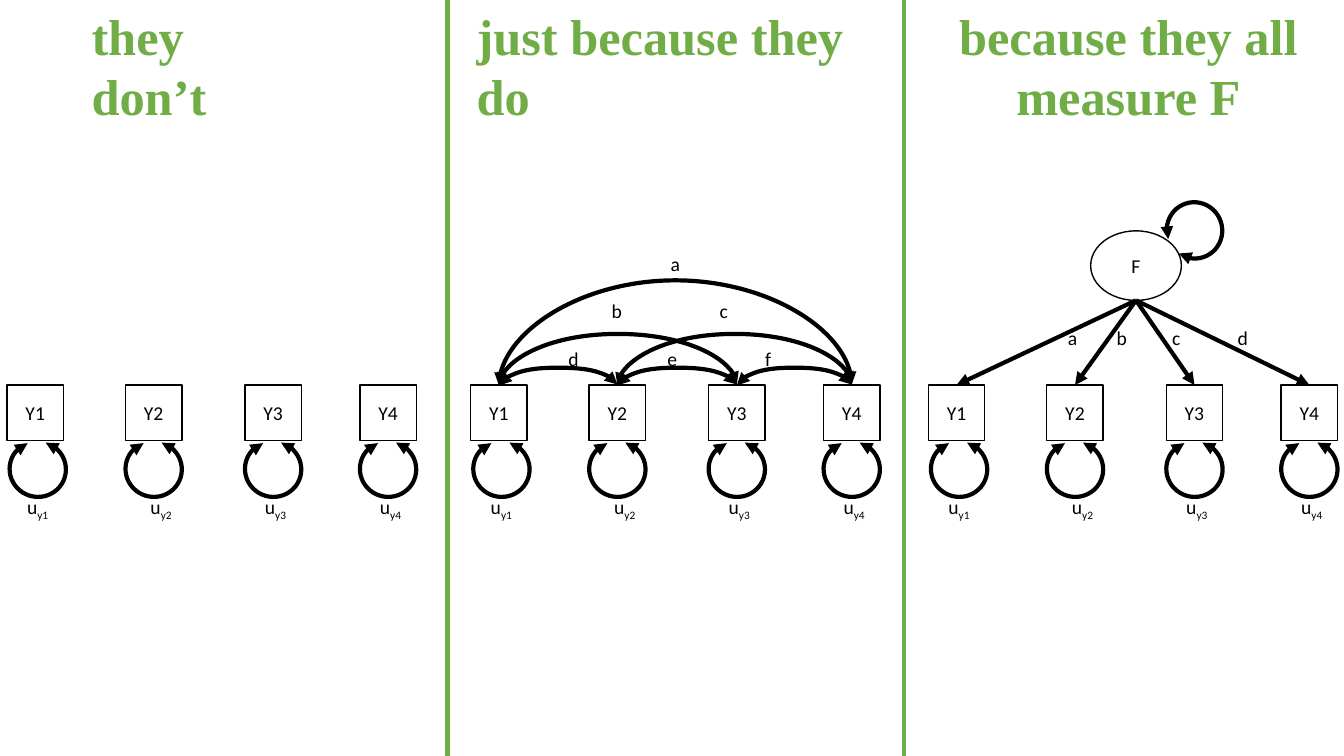
from dataclasses import dataclass
from itertools import combinations
from lxml.etree import SubElement as Sub
from pptx import Presentation
from pptx.dml.color import RGBColor as Rgb
from pptx.enum.shapes import MSO_CONNECTOR as Link, MSO_SHAPE as Kind
from pptx.enum.text import MSO_ANCHOR as Anchor, PP_ALIGN as Align
from pptx.oxml.ns import qn
from pptx.util import Inches, Pt


@dataclass(frozen=True)
class Theme:
    ink: Rgb = Rgb(0, 0, 0)
    paper: Rgb = Rgb(255, 255, 255)
    green: Rgb = Rgb(0x70, 0xAD, 0x47)
    body: str = "Calibri"
    serif: str = "Times New Roman"
    small: int = 14
    big: int = 36
    thin: int = 1
    thick: int = 3


LOOK = Theme()
COLS, ROWS = 133.33, 75
STEPS = (0, 11.75, 23.6, 35)
SIDE, TALL = 5.6, 5.5
BASE = 38.2
LEFTS = (0.7, 46.7, 92.1)
RULES = (44.4, 89.7)
BOW = {1: 1.8, 2: 5.2, 3: 10.6}


def cell(*nums):
    return [Inches(num / 10) for num in nums]


def write(frame, text, size=LOOK.small, font=LOOK.body, color=LOOK.ink,
          bold=False, align=Align.CENTER, anchor=Anchor.TOP):
    frame.word_wrap = True
    frame.vertical_anchor = anchor
    para = frame.paragraphs[0]
    para.alignment = align
    for rank, part in enumerate(text.split("_")):
        run = para.add_run()
        run.text = part
        run.font.size = Pt(size)
        run.font.name = font
        run.font.bold = bold
        run.font.color.rgb = color
        if rank:
            run.font._element.set("baseline", "-25000")


def label(shapes, text, x, y, wide, high=3.4, **style):
    write(shapes.add_textbox(*cell(x, y, wide, high)).text_frame, text, **style)


def stroke(shape, width, color=LOOK.ink, ends=()):
    shape.line.color.rgb = color
    shape.line.width = Pt(width)
    for end in ends:
        Sub(shape.line._get_or_add_ln(), qn(f"a:{end}End"), type="triangle")


def node(shapes, kind, text, x, y, wide, high, fill=None):
    shape = shapes.add_shape(kind, *cell(x, y, wide, high))
    shape.shadow.inherit = False
    if fill is None:
        shape.fill.background()
    else:
        shape.fill.solid()
        shape.fill.fore_color.rgb = fill
    stroke(shape, LOOK.thin)
    write(shape.text_frame, text, anchor=Anchor.MIDDLE)


def loop(shapes, x, y, turn=16.7):
    arc = shapes.add_shape(Kind.ARC, *cell(x, y, SIDE, TALL))
    arc.shadow.inherit = False
    arc.fill.background()
    arc.adjustments[0] = 162
    arc.adjustments[1] = 139.33
    arc.rotation = turn
    stroke(arc, LOOK.thick, ends=("head", "tail"))


def link(shapes, start, stop, color=LOOK.ink, ends=(), kind=Link.STRAIGHT):
    line = shapes.add_connector(kind, *cell(*start, *stop))
    stroke(line, LOOK.thick, color, ends)
    Sub(line._element.spPr, qn("a:effectLst"))
    return line


def bow(shapes, left, right, rise):
    thin = 0.1
    mid, half = (left + right) / 2, (right - left) / 2
    line = link(shapes, (mid + thin / 2, BASE + half),
                (mid - thin / 2, BASE - half),
                ends=("head", "tail"), kind=Link.CURVE)
    props = line._element.spPr
    props.find(qn("a:xfrm")).set("rot", str(90 * 60000))
    geom = props.find(qn("a:prstGeom"))
    guides = geom.find(qn("a:avLst"))
    if guides is None:
        guides = Sub(geom, qn("a:avLst"))
    Sub(guides, qn("a:gd"), name="adj1", fmla=f"val {round(rise / thin * 100000)}")


def panel(slide, left):
    shapes = slide.shapes.add_group_shape().shapes
    for num, step in enumerate(STEPS, 1):
        x = left + step
        loop(shapes, x + (0.25 if num == 1 else 0), BASE + SIDE)
        node(shapes, Kind.RECTANGLE, f"Y{num}", x, BASE, SIDE, TALL)
        label(shapes, f"u_y{num}", x + (1.5 if num == 2 else 1),
              BASE + 10.4, 5, align=Align.LEFT)
    return shapes


def letters(shapes, spots):
    for text, x, y in spots:
        label(shapes, text, x - 2, y - 1.7, 4)


def pairs(shapes, left):
    mids = [left + step + SIDE / 2 for step in STEPS]
    for one, two in combinations(range(4), 2):
        bow(shapes, mids[one], mids[two], BOW[two - one])
    letters(shapes, (("a", 67, 26.2), ("b", 61.2, 30.9), ("c", 71.8, 30.9),
                     ("d", 56.9, 35.6), ("e", 66.7, 35.6), ("f", 76.2, 35.6)))


def factor(shapes, left):
    node(shapes, Kind.OVAL, "F", 108.2, 22.9, 9, 6.9, fill=LOOK.paper)
    for step in STEPS:
        link(shapes, (112.7, 29.8), (left + step + SIDE / 2, BASE), ends=("tail",))
    loop(shapes, 115.7, 20.1, turn=251.7)
    letters(shapes, zip("abcd", (106.4, 111.3, 116.7, 123.3), (33.5,) * 4))


def main():
    deck = Presentation()
    deck.slide_width, deck.slide_height = cell(COLS, ROWS)
    slide = deck.slides.add_slide(deck.slide_layouts[6])
    groups = [panel(slide, left) for left in LEFTS]
    pairs(groups[1], LEFTS[1])
    factor(groups[2], LEFTS[2])
    for x in RULES:
        link(slide.shapes, (x, 0), (x, ROWS), color=LOOK.green)
    for text, x, wide, align in (
            ("they don’t", 8.1, 23, Align.LEFT),
            ("just because they do", 46.3, 42.7, Align.LEFT),
            ("because they all measure F", 91.2, 41.5, Align.CENTER)):
        label(slide.shapes, text, x, 0, wide, 13.1, size=LOOK.big,
              font=LOOK.serif, color=LOOK.green, bold=True, align=align)
    deck.save("out.pptx")


if __name__ == "__main__":
    main()
